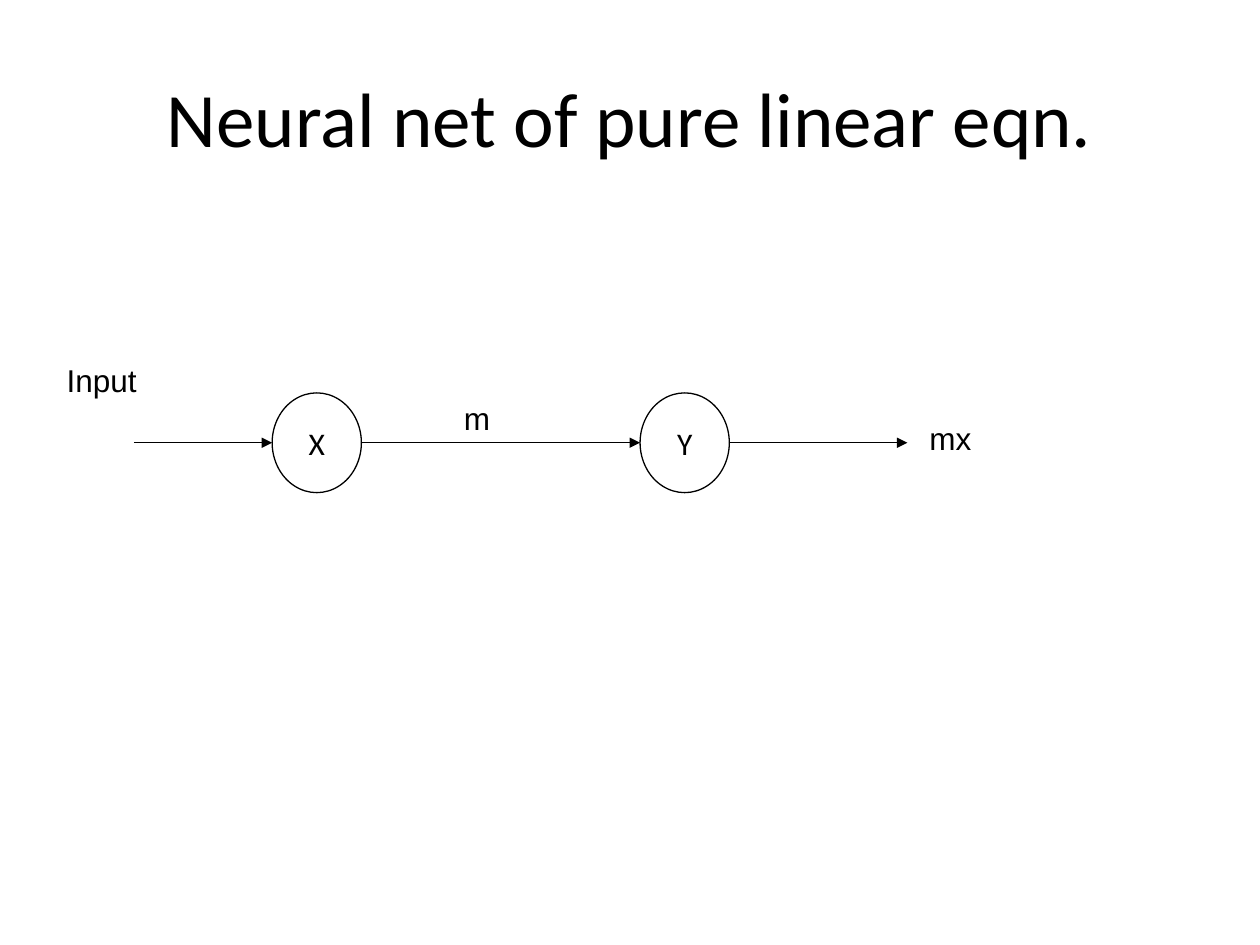
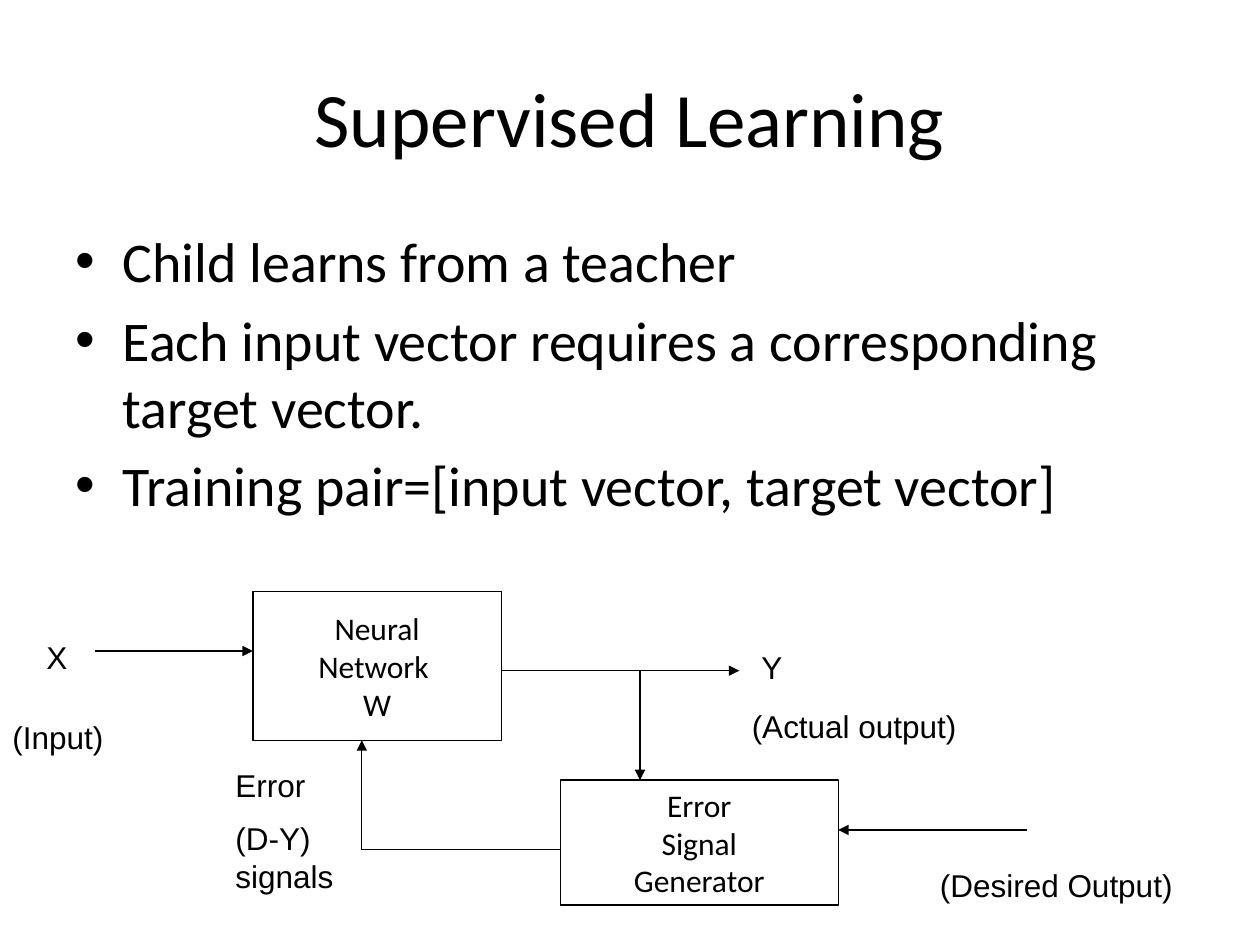
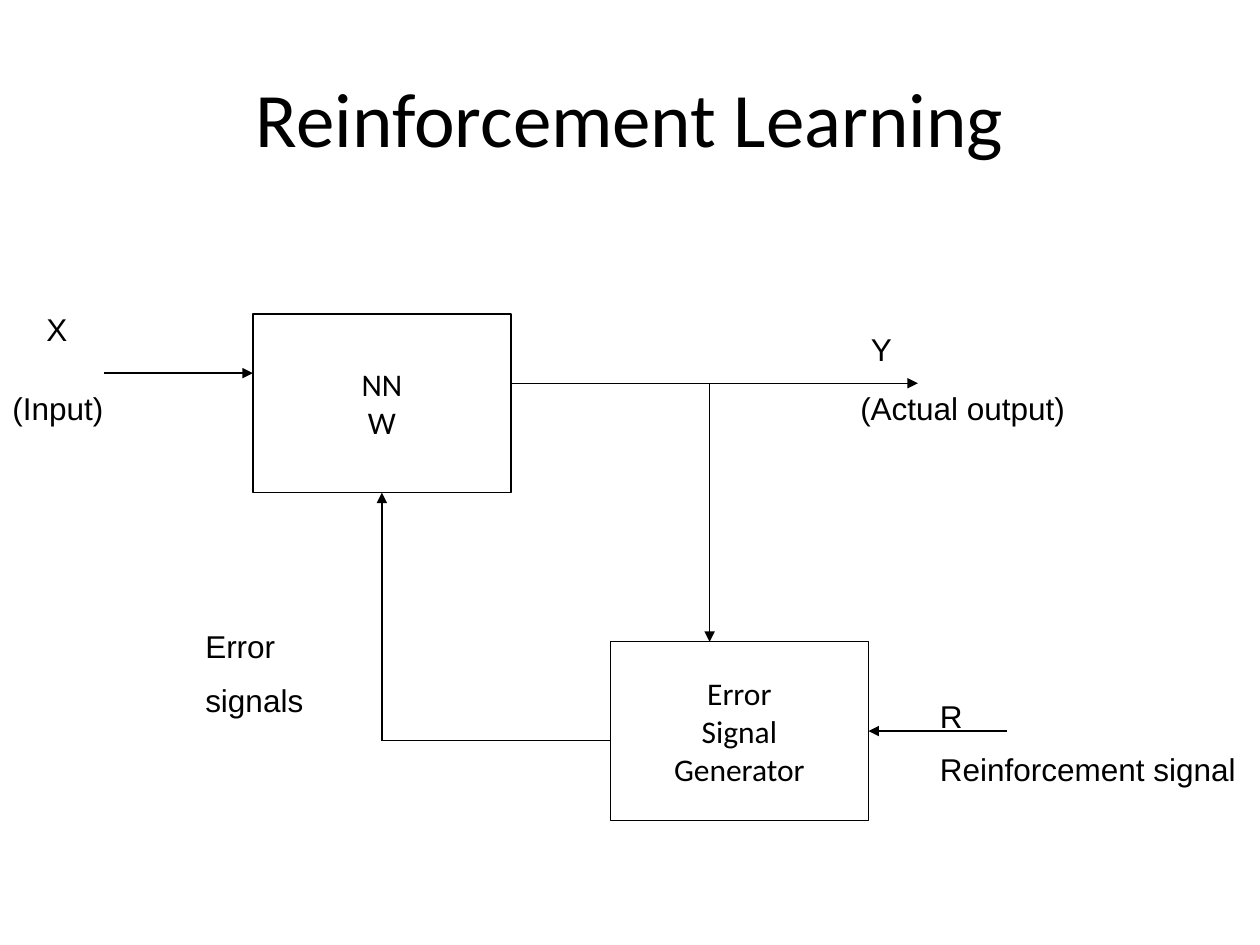
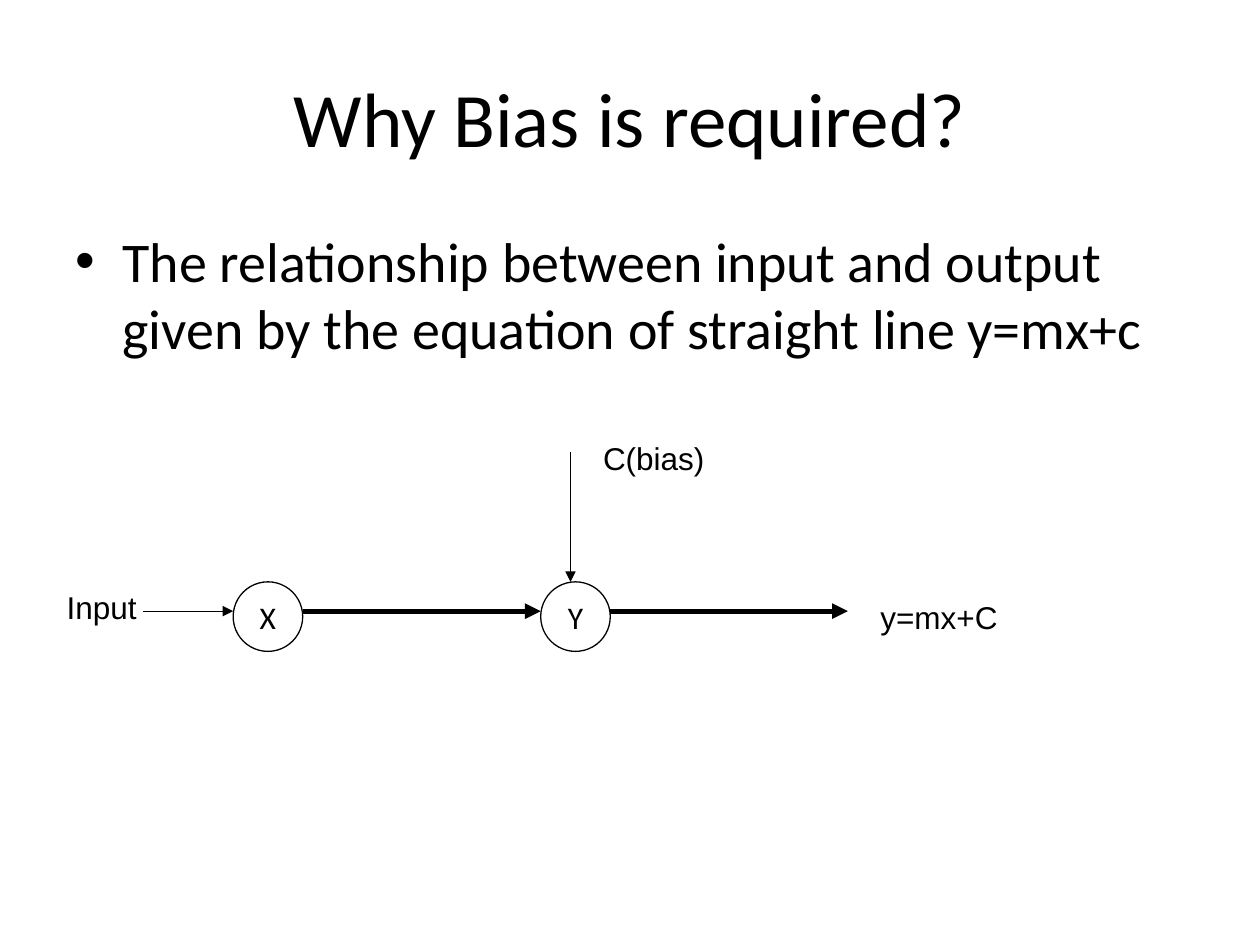
from lxml import etree
from pptx import Presentation
from pptx.dml.color import RGBColor
from pptx.enum.shapes import MSO_CONNECTOR, MSO_SHAPE
from pptx.enum.text import MSO_ANCHOR, MSO_AUTO_SIZE, PP_ALIGN
from pptx.oxml.ns import qn
from pptx.util import Pt

STRAIGHT = MSO_CONNECTOR.STRAIGHT
ELLIPSE = MSO_SHAPE.OVAL
RECTANGLE = MSO_SHAPE.RECTANGLE
MIDDLE = MSO_ANCHOR.MIDDLE
TOP = MSO_ANCHOR.TOP
CENTER = PP_ALIGN.CENTER
LEFT = PP_ALIGN.LEFT
GROW = MSO_AUTO_SIZE.SHAPE_TO_FIT_TEXT
BOTTOM_SIDE, RIGHT_SIDE = 2, 3


def color(hex_string):
    return RGBColor.from_string(hex_string)


class Deck:
    """Holds the shared style and draws elements on the current slide."""

    ink = "000000"
    paper = "FFFFFF"
    heading_font = "Calibri"
    label_font = "Arial"
    title_size = 44
    body_size = 32
    label_size = 18
    thin = 0.75
    thick = 3
    indent = 27

    def __init__(self):
        self.presentation = Presentation()
        self.presentation.slide_width = Pt(720)
        self.presentation.slide_height = Pt(540)
        self.slide = None

    def new_slide(self, title):
        self.slide = self.presentation.slides.add_slide(self.presentation.slide_layouts[6])
        background = self.slide.background.fill
        background.solid()
        background.fore_color.rgb = color(self.paper)
        frame = self.text_box(36, 21.5, 648, 90)
        frame.vertical_anchor = MIDDLE
        frame.text = title
        self.format_text(frame, self.heading_font, self.title_size, CENTER)

    def text_box(self, left, top, width, height):
        box = self.slide.shapes.add_textbox(Pt(left), Pt(top), Pt(width), Pt(height))
        box.text_frame.word_wrap = True
        return box.text_frame

    def format_text(self, frame, font, size, alignment=LEFT, gap=0):
        for index, paragraph in enumerate(frame.paragraphs):
            paragraph.alignment = alignment
            paragraph.space_before = Pt(gap if index else 0)
            for run in paragraph.runs:
                run.font.name = font
                run.font.size = Pt(size)
                run.font.color.rgb = color(self.ink)

    def bullets(self, items, height):
        frame = self.text_box(36, 126, 648, height)
        frame.vertical_anchor = TOP
        frame.text = "\n".join(items)
        for paragraph in frame.paragraphs:
            properties = paragraph._p.get_or_add_pPr()
            properties.set("marL", str(Pt(self.indent)))
            properties.set("indent", str(-Pt(self.indent)))
            etree.SubElement(properties, qn("a:buFont"), typeface="Arial")
            etree.SubElement(properties, qn("a:buChar"), char="•")
        self.format_text(frame, self.heading_font, self.body_size, gap=6.4)

    def label(self, text, left, top, width, height=29):
        frame = self.text_box(left, top, width, height)
        frame.auto_size = GROW
        frame.text = text
        self.format_text(frame, self.label_font, self.label_size, gap=9)

    def node(self, kind, text, left, top, width, height):
        shape = self.slide.shapes.add_shape(kind, Pt(left), Pt(top), Pt(width), Pt(height))
        shape.shadow.inherit = False
        shape.fill.background()
        shape.line.color.rgb = color(self.ink)
        shape.line.width = Pt(self.thin)
        frame = shape.text_frame
        frame.word_wrap = False
        frame.vertical_anchor = MIDDLE
        frame.text = text
        self.format_text(frame, self.heading_font, self.label_size, CENTER)
        return shape

    def line(self, start, end, width=thin):
        connector = self.slide.shapes.add_connector(STRAIGHT, *map(Pt, start + end))
        connector.line.color.rgb = color(self.ink)
        connector.line.width = Pt(width)
        etree.SubElement(connector._element.spPr, qn("a:effectLst"))
        return connector

    def arrow(self, start, end, width=thin):
        connector = self.line(start, end, width)
        etree.SubElement(connector.line._get_or_add_ln(), qn("a:tailEnd"), type="triangle")
        return connector


def linear_network(deck):
    deck.new_slide("Neural net of pure linear eqn.")
    x_left, y_left, top, width, height = 155.5, 365.75, 224.5, 51, 57
    middle = top + height / 2
    for text, left in (("X", x_left), ("Y", y_left)):
        deck.node(ELLIPSE, text, left, top, width, height)
    for start, end in ((76.5, x_left), (x_left + width, y_left), (y_left + width, 518.5)):
        deck.arrow((start, middle), (end, middle))
    deck.label("Input", 31, 202.5, 96.5)
    deck.label("m", 258, 224.5, 45.5)
    deck.label("mx", 524, 236, 62.5)


def supervised_learning(deck):
    deck.new_slide("Supervised Learning")
    deck.bullets([
        "Child learns from a teacher",
        "Each input vector requires a corresponding target vector.",
        "Training pair=[input vector, target vector]",
    ], 356.5)
    deck.node(RECTANGLE, "Neural\nNetwork \nW", 144.5, 338, 142, 85)
    deck.node(RECTANGLE, "Error\nSignal\nGenerator", 320.25, 445.75, 158.75, 71.5)
    output_y, branch_x = 383.25, 365.75
    feedback_x, feedback_y = 206.75, 485.5
    deck.arrow((54, 372), (144.5, 372))
    deck.arrow((286.5, output_y), (422.5, output_y))
    deck.arrow((branch_x, output_y), (branch_x, 445.75))
    deck.arrow((587, 474.25), (479, 474.25))
    deck.line((320.25, feedback_y), (feedback_x, feedback_y))
    deck.arrow((feedback_x, feedback_y), (feedback_x, 423))
    deck.label("X", 19.5, 361, 28)
    deck.label("(Input)", 0, 406.5, 93.5)
    deck.label("Y", 428, 366.5, 45.5)
    deck.label("(Actual output)", 422.5, 400.5, 209.5)
    deck.label("(Desired Output)", 530, 491.5, 158.5)
    deck.label("Error\n(D-Y) signals", 127.5, 434, 96.5, 83)


def reinforcement_learning(deck):
    deck.new_slide("Reinforcement Learning")
    width, height = 147.5, 102
    network = deck.node(RECTANGLE, "NN\nW", 144.5, 179.5, width, height)
    generator = deck.node(RECTANGLE, "Error\nSignal\nGenerator", 348.75, 366.75, width, height)
    output_y, branch_x = 219, 405.5
    feedback_x, feedback_y = 144.5 + width / 2, 423.25
    signal_y = 366.75 + height / 2
    deck.arrow((59.5, 213.25), (144.5, 213.25))
    deck.arrow((292, output_y), (524.5, output_y))
    deck.arrow((branch_x, output_y), (branch_x, 366.75))
    signal = deck.arrow((575.5, signal_y), (496.25, signal_y))
    signal.end_connect(generator, RIGHT_SIDE)
    deck.line((348.75, feedback_y), (feedback_x, feedback_y))
    feedback = deck.arrow((feedback_x, feedback_y), (feedback_x, 281.5))
    feedback.end_connect(network, BOTTOM_SIDE)
    deck.label("X", 19.5, 173.5, 28)
    deck.label("(Input)", 0, 219, 93.5)
    deck.label("Y", 490.5, 185, 45.5)
    deck.label("(Actual output)", 484.5, 219, 209.5)
    deck.label("Error\nsignals", 110.25, 355, 96.5, 61)
    deck.label("R\nReinforcement signal", 530, 394.5, 190, 61)


def bias(deck):
    deck.new_slide("Why Bias is required?")
    deck.bullets(["The relationship between input and output given by the equation "
                  "of straight line y=mx+c"], 144)
    x_left, y_left, top, size = 133.25, 309, 332.5, 39.75
    flow_y, bias_x = 349.25, 326
    for text, left in (("X", x_left), ("Y", y_left)):
        deck.node(ELLIPSE, text, left, top, size, size)
    deck.arrow((82, flow_y), (x_left, flow_y))
    deck.arrow((x_left + size, flow_y), (y_left, flow_y), deck.thick)
    deck.arrow((y_left + size, flow_y), (484.5, flow_y), deck.thick)
    deck.arrow((bias_x, 258.5), (bias_x, top))
    deck.label("Input", 31, 332.5, 79)
    deck.label("C(bias)", 337.5, 247.5, 90.5)
    deck.label("y=mx+C", 496, 338, 102)


def main():
    deck = Deck()
    for build in (linear_network, supervised_learning, reinforcement_learning, bias):
        build(deck)
    deck.presentation.save("out.pptx")


if __name__ == "__main__":
    main()
